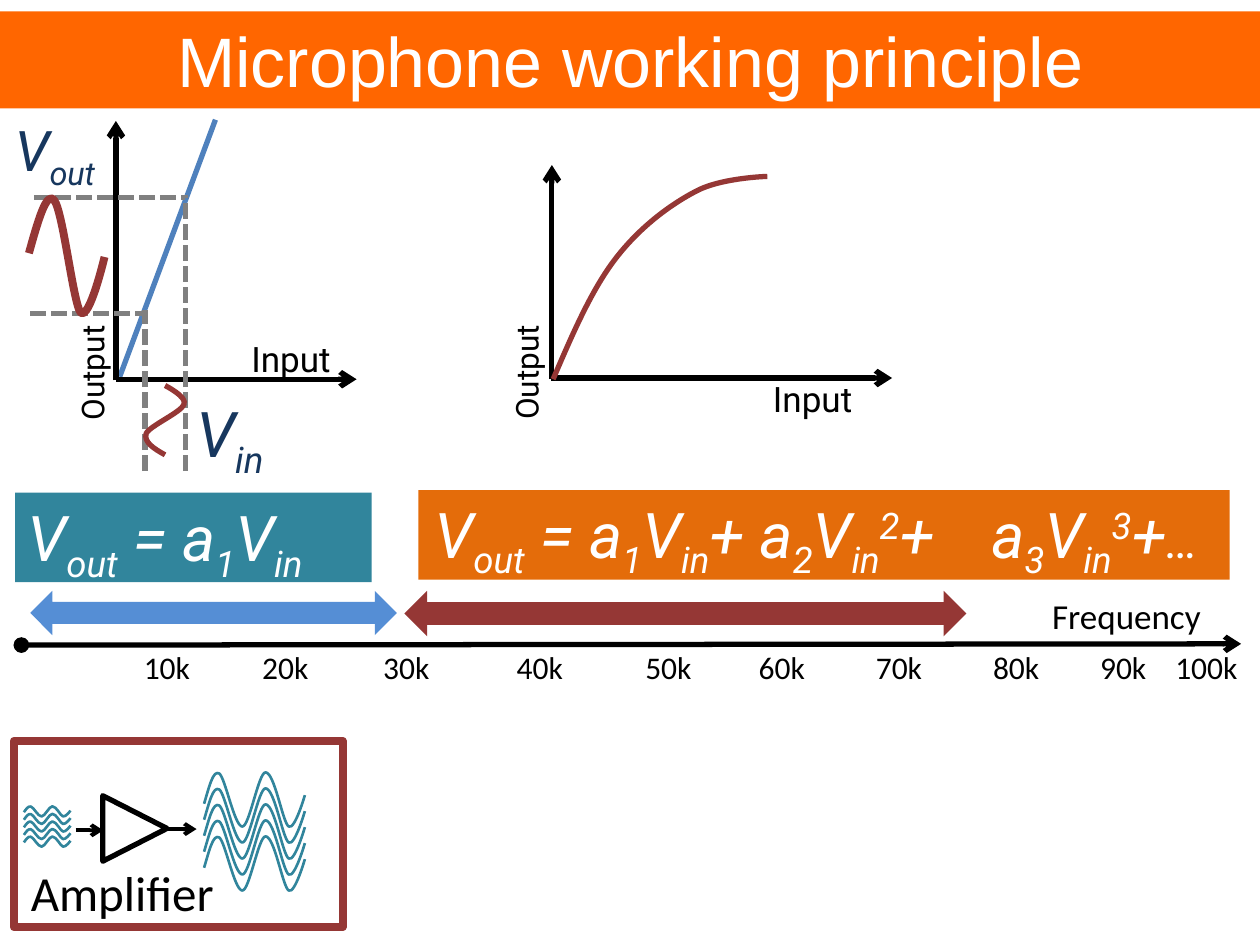
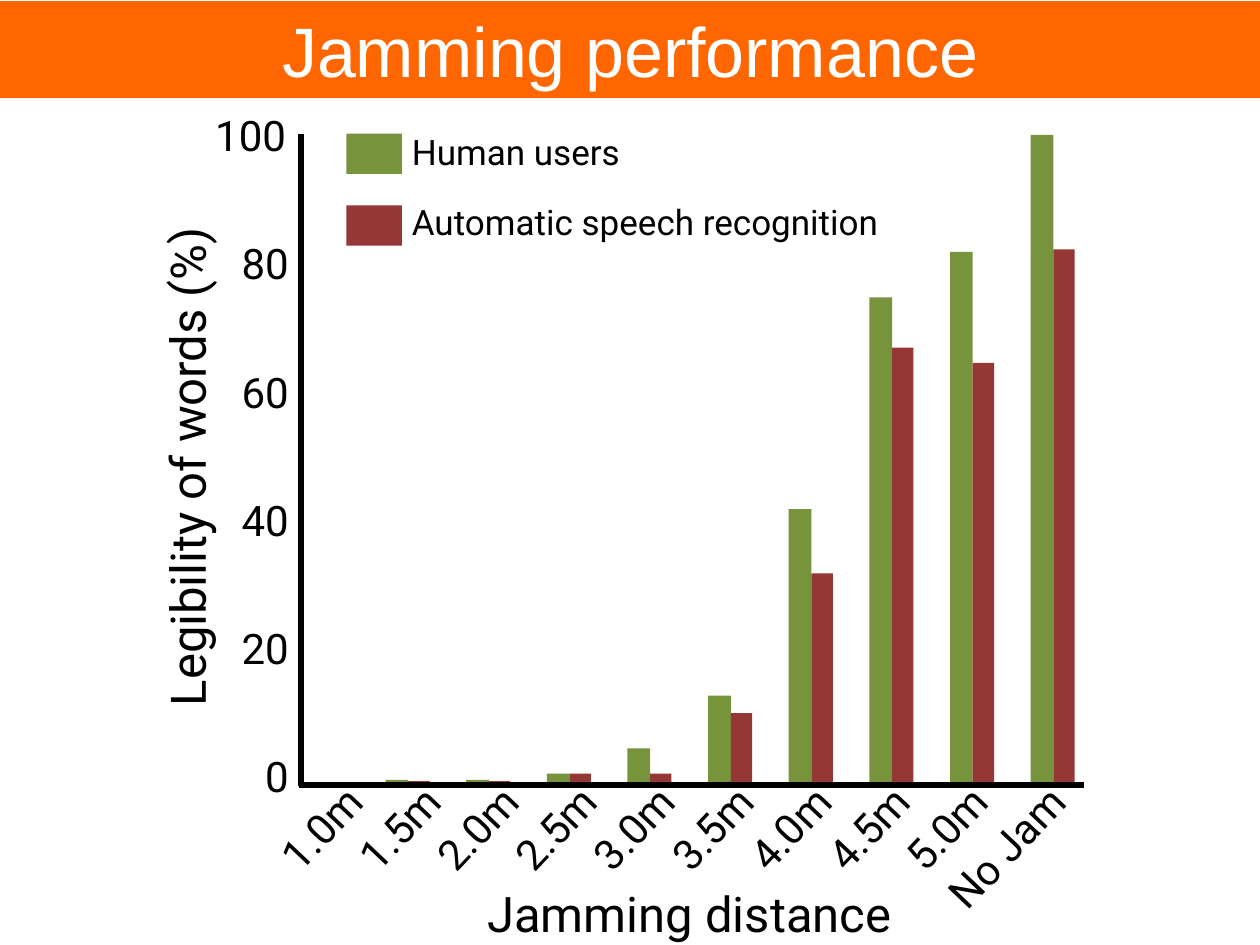
from lxml import etree
from pptx import Presentation
from pptx.dml.color import RGBColor
from pptx.enum.dml import MSO_LINE
from pptx.enum.shapes import MSO_CONNECTOR, MSO_SHAPE
from pptx.enum.text import MSO_ANCHOR, MSO_AUTO_SIZE, PP_ALIGN
from pptx.oxml.ns import qn
from pptx.util import Inches, Pt

ORANGE = RGBColor(0xFF, 0x66, 0x00)
AMBER = RGBColor(0xE4, 0x6C, 0x0A)
WHITE = RGBColor(0xFF, 0xFF, 0xFF)
BLACK = RGBColor(0x00, 0x00, 0x00)
GREY = RGBColor(0x80, 0x80, 0x80)
RED = RGBColor(0x95, 0x37, 0x35)
GREEN = RGBColor(0x77, 0x93, 0x3C)
TEAL = RGBColor(0x31, 0x85, 0x9C)
NAVY = RGBColor(0x17, 0x37, 0x5E)
BLUE = RGBColor(0x4F, 0x81, 0xBD)
SKY = RGBColor(0x55, 0x8E, 0xD5)

RECT = MSO_SHAPE.RECTANGLE
TRIANGLE = MSO_SHAPE.ISOSCELES_TRIANGLE
ARROW = MSO_SHAPE.LEFT_RIGHT_ARROW
STRAIGHT = MSO_CONNECTOR.STRAIGHT
DASH = MSO_LINE.SQUARE_DOT
LEFT, MID, RIGHT = PP_ALIGN.LEFT, PP_ALIGN.CENTER, PP_ALIGN.RIGHT


def block(slide, kind, box, fill=None, edge=None, width=3):
    """Add a preset shape with an optional fill and outline."""
    shape = slide.shapes.add_shape(kind, *map(Inches, box))
    shape.shadow.inherit = False
    if fill is None:
        shape.fill.background()
    else:
        shape.fill.solid()
        shape.fill.fore_color.rgb = fill
    if edge is None:
        shape.line.fill.background()
    else:
        shape.line.color.rgb = edge
        shape.line.width = Pt(width)
    return shape


def write(slide, box, runs, size, font="Roboto", color=BLACK, align=MID,
          italic=False, turn=0, fill=None):
    """Add text; each run is (words, baseline shift in percent)."""
    if fill is None:
        shape = slide.shapes.add_textbox(*map(Inches, box))
    else:
        shape = block(slide, RECT, box, fill)
    shape.rotation = turn
    frame = shape.text_frame
    frame.word_wrap = True
    frame.auto_size = MSO_AUTO_SIZE.SHAPE_TO_FIT_TEXT
    frame.vertical_anchor = MSO_ANCHOR.TOP
    para = frame.paragraphs[0]
    para.alignment = align
    for words, shift in runs:
        run = para.add_run()
        run.text = words
        run.font.name = font
        run.font.size = Pt(size)
        run.font.italic = italic
        run.font.color.rgb = color
        if shift:
            run.font._element.set("baseline", str(shift * 1000))
    return shape


deck = Presentation()
deck.slide_width, deck.slide_height = Inches(10), Inches(7.5)
pages = []
for title, top in (("Microphone working principle", 0.09),
                   ("Jamming performance", 0.01)):
    page = deck.slides.add_slide(deck.slide_layouts[6])
    write(page, (0, top, 10, 0.77), [(title, 0)], 40, "Arial", WHITE, fill=ORANGE)
    pages.append(page)
mic, jam = pages

# Jamming: bars from 1.5m on, given by their tops, with the key
BASE = 6.24
series = [
    ("Human users", GREEN, 0, 0.18,
     (6.19, 6.19, 6.14, 5.94, 5.52, 4.04, 2.36, 2, 1.07)),
    ("Automatic speech recognition", RED, 0.18, 0.17,
     (6.2, 6.2, 6.14, 6.14, 5.66, 4.55, 2.76, 2.88, 1.98)),
]
for row, (name, color, shift, wide, tops) in enumerate(series):
    for i, top in enumerate(tops):
        block(jam, RECT, (3.06 + i * 0.64 + shift, top, wide, BASE - top), color)
    block(jam, RECT, (2.75, 1.06 + row * 0.57, 0.44, 0.32), color)
    write(jam, (3.17, 0.99 + row * 0.55, 4.34, 0.44), [(name, 0)], 20, align=LEFT)

# Axes, guides and arrows
lines = [
    # page, from, to, colour, width, dash, head, tail
    (mic, 0.95, 2.99, 1.71, 0.95, BLUE, 3, None, None, None),
    (mic, 0.92, 3.02, 0.92, 0.96, BLACK, 3, None, None, "arrow"),
    (mic, 0.92, 3.01, 2.83, 3.01, BLACK, 3, None, None, "arrow"),
    (mic, 1.15, 3.74, 1.15, 2.46, GREY, 3, DASH, None, None),
    (mic, 1.47, 3.74, 1.47, 1.55, GREY, 3, DASH, None, None),
    (mic, 0.27, 1.57, 1.47, 1.57, GREY, 3, DASH, None, None),
    (mic, 0.24, 2.49, 1.17, 2.49, GREY, 3, DASH, None, None),
    (mic, 4.38, 3.01, 4.38, 1.31, BLACK, 3, None, None, "arrow"),
    (mic, 4.37, 3, 7.08, 3, BLACK, 3, None, None, "arrow"),
    (mic, 0.6, 6.59, 0.82, 6.59, BLACK, 2.25, None, None, "arrow"),
    (mic, 1.33, 6.58, 1.56, 6.58, BLACK, 2.25, None, None, "arrow"),
    (mic, 0.17, 5.12, 9.85, 5.11, BLACK, 3, None, "oval", "arrow"),
    (jam, 2.39, 1.06, 2.39, 6.24, BLACK, 3, None, None, None),
    (jam, 8.6, 6.23, 2.37, 6.23, BLACK, 3, None, None, None),
]
for page, x1, y1, x2, y2, color, width, dash, head, tail in lines:
    line = page.shapes.add_connector(STRAIGHT, *map(Inches, (x1, y1, x2, y2)))
    line.line.color.rgb = color
    line.line.width = Pt(width)
    if dash:
        line.line.dash_style = dash
    for tag, end in (("a:headEnd", head), ("a:tailEnd", tail)):
        if end:
            etree.SubElement(line.line._get_or_add_ln(), qn(tag)).set("type", end)
    etree.SubElement(line._element.spPr, qn("a:effectLst"))

# Microphone: signals as cubic curves (start, then three points per segment)
wave = [(0, 0.58), (0.05, 0.27), (0.09, -0.05), (0.15, 0.02),
        (0.21, 0.09), (0.3, 1), (0.38, 1), (0.45, 1), (0.54, 0), (0.61, 0),
        (0.7, 0), (0.78, 0.93), (0.84, 1), (0.9, 1.07), (1, 0.42), (1, 0.42)]
curves = [
    (RED, 3, [(1.31, 3.61), (1.22, 3.56), (1.14, 3.51), (1.16, 3.44),
              (1.19, 3.38), (1.44, 3.27), (1.46, 3.21),
              (1.49, 3.15), (1.31, 3.06), (1.31, 3.06)]),
    (RED, 4.5, [(0.23, 2.01), (0.3, 1.76), (0.37, 1.51), (0.43, 1.59),
                (0.5, 1.67), (0.58, 2.4), (0.64, 2.48),
                (0.71, 2.55), (0.83, 2.04), (0.83, 2.04)]),
    (RED, 3, [(4.39, 3.01), (4.54, 2.66), (4.69, 2.31), (4.88, 2.06),
              (5.07, 1.81), (5.31, 1.63), (5.52, 1.52),
              (5.72, 1.41), (6.09, 1.4), (6.09, 1.4)]),
]
for left, top, wide, high, step in ((0.19, 6.4, 0.37, 0.08, 0.06),
                                    (1.62, 6.13, 0.8, 0.43, 0.127)):
    for i in range(5):
        curves.append((TEAL, 1.5, [(left + x * wide, top + i * step + y * high)
                                   for x, y in wave]))
for color, width, knots in curves:
    points = [(Inches(x), Inches(y)) for x, y in knots]
    pen = mic.shapes.build_freeform(*points[0])
    pen.add_line_segments(points[1:], close=False)
    curve = pen.convert_to_shape()
    curve.shadow.inherit = False
    curve.fill.background()
    curve.line.color.rgb = color
    curve.line.width = Pt(width)
    # Turn each three straight steps into one cubic segment
    trace = next(curve._element.iter(qn("a:path")))
    steps = trace.findall(qn("a:lnTo"))
    for i in range(0, len(steps), 3):
        cubic = etree.SubElement(trace, qn("a:cubicBezTo"))
        for step in steps[i:i + 3]:
            cubic.append(step[0])
            trace.remove(step)

# Microphone: axis names and formulas
for name, size, box, turn in (("Input", 20, (1.67, 2.63, 1.28, 0.44), 0),
                              ("Output", 18, (-0.03, 2.76, 1.52, 0.4), 270),
                              ("Input", 20, (5.81, 2.95, 1.28, 0.36), 0),
                              ("Output", 18, (3.7, 2.71, 1.04, 0.49), 270)):
    write(mic, box, [(name, 0)], size, turn=turn)

V_IN = [("V", 0), ("in", -25)]
V_OUT = [("V", 0), ("out", -25)]
linear = V_OUT + [(" = a", 0), ("1", -25)] + V_IN
square = linear + [("+ a", 0), ("2", -25)] + V_IN + [("2", 30), ("+", 0)]
cube = [("a", 0), ("3", -25)] + V_IN + [("3", 30), ("+", 0), ("…", 0)]
block(mic, RECT, (3.32, 3.89, 6.44, 0.71), AMBER)
for box, runs, size, color, fill in (
        ((1.46, 3.08, 0.79, 0.58), V_IN, 36, NAVY, None),
        ((0.02, 0.87, 1.17, 0.53), V_OUT, 32, NAVY, None),
        ((0.12, 3.91, 2.83, 0.71), linear, 36, WHITE, TEAL),
        ((3.35, 3.88, 4.76, 0.71), square, 36, WHITE, None),
        ((7.77, 3.88, 2.25, 0.71), cube, 36, WHITE, None)):
    label = write(mic, box, runs, size, color=color, align=LEFT,
                  italic=True, fill=fill)
label.text_frame.paragraphs[0].runs[-1].font.size = Pt(28)

# Microphone: frequency scale and amplifier
block(mic, ARROW, (0.24, 4.69, 2.91, 0.35), SKY)
block(mic, ARROW, (3.21, 4.69, 4.46, 0.36), RED)
write(mic, (8.17, 4.67, 1.54, 0.27), [("Frequency", 0)], 20, "Calibri")
marks = (0.86, 1.8, 2.76, 3.82, 4.84, 5.74, 6.67, 7.6, 8.45, 9.11)
for i, left in enumerate(marks, 1):
    write(mic, (left, 5.09, 0.93, 0.4), [(f"{i * 10}k", 0)], 18, "Calibri")
block(mic, TRIANGLE, (0.81, 6.32, 0.52, 0.51), edge=BLACK).rotation = 90
write(mic, (0.07, 6.8, 1.8, 0.57), [("Amplifier", 0)], 28, "Calibri")
block(mic, RECT, (0.11, 5.88, 2.61, 1.48), edge=RED, width=4.5)

# Jamming: scale labels and axis titles
for i in range(6):
    write(jam, (1.61, 0.82 + i * 1.018, 0.78, 0.5), [(str(100 - i * 20), 0)], 24,
          align=RIGHT if i else LEFT)
names = [f"{1 + i / 2:.1f}m" for i in range(9)] + ["No Jam"]
for i, name in enumerate(names):
    write(jam, (1.61 + i * 0.62, 6.52, 1.52, 0.55), [(name, 0)], 24,
          align=RIGHT, turn=313.4)
write(jam, (3.6, 6.96, 3.74, 0.57), [("Jamming distance", 0)], 28)
write(jam, (-0.73, 3.42, 4.42, 0.57), [("Legibility of words (%)", 0)], 28, turn=270)

deck.save("out.pptx")
